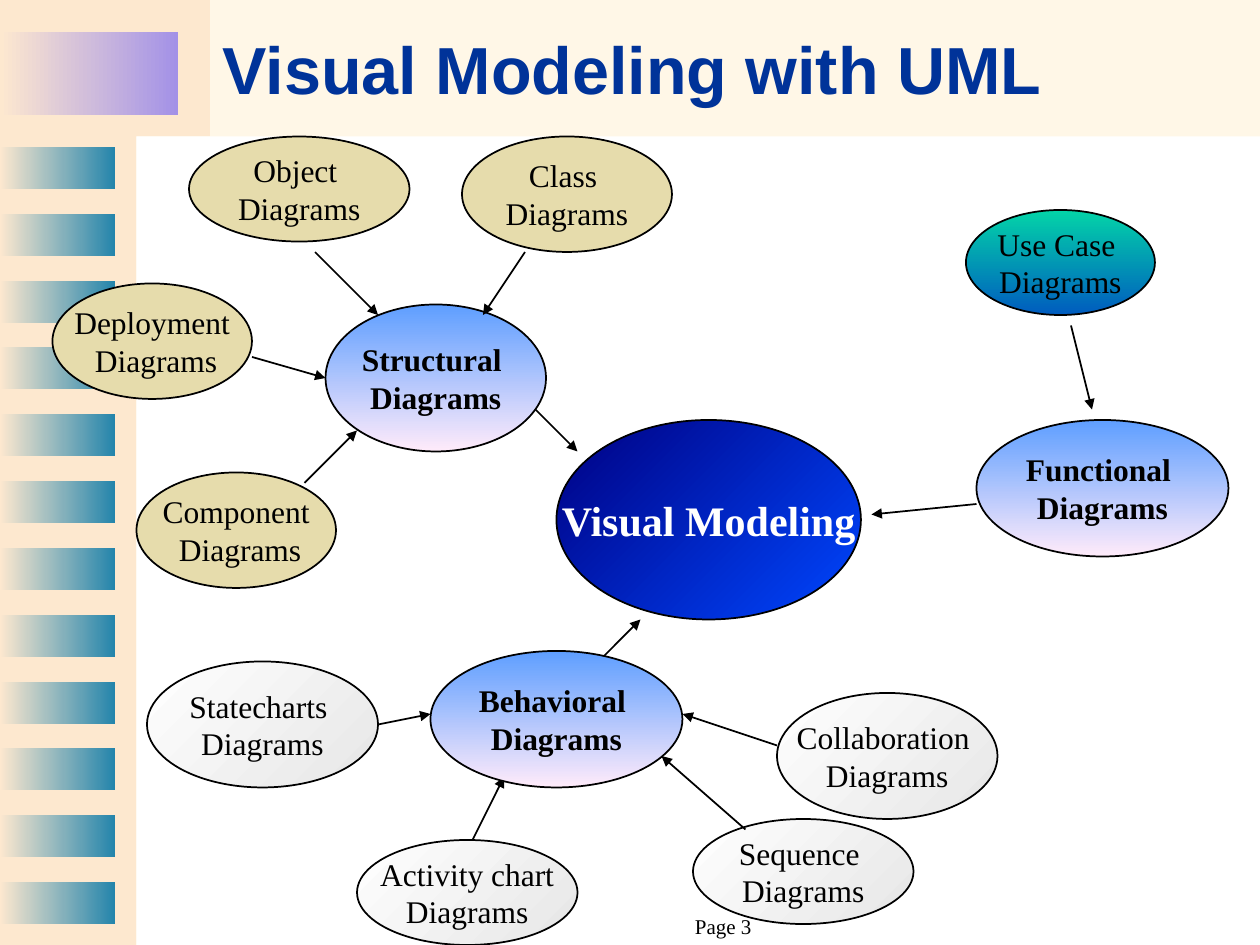
from lxml import etree
from pptx import Presentation
from pptx import util as u
from pptx.dml.color import RGBColor
from pptx.enum import shapes, text
from pptx.oxml.ns import qn

COLS, ROWS = 120, 90
BARS = 12
COLORS = {
    "cream": "FFF7E7", "peach": "FDE8CF", "lilac": "A391E7", "teal": "2384AB",
    "title": "003399", "white": "FFFFFF", "black": "000000", "sand": "E6DCAC",
    "royal": "0047FF", "navy": "000082", "mint": "03D4A8", "ocean": "005CBF",
    "sky": "5E9EFF", "blush": "FFEBFA", "silver": "E6E6E6",
}
FILLS = {
    "core": ("royal", "navy", 135),
    "category": ("sky", "blush", 270),
    "use_case": ("mint", "ocean", 270),
    "structural": ("sand",),
    "behavioral": ("silver", "white", 135),
    "banner": ("lilac", "peach", 180),
    "bar": ("teal", "peach", 180),
}
NODES = [
    ("core", (53, 40, 29, 19), ["Visual Modeling"]),
    ("use_case", (92, 20, 18, 10), ["Use Case ", "Diagrams"]),
    ("category", (93, 40, 24, 13), ["Functional ", "Diagrams"]),
    ("structural", (44, 13, 20, 11), ["Class ", "Diagrams"]),
    ("category", (31, 29, 21, 14), ["Structural ", "Diagrams"]),
    ("structural", (18, 13, 21, 10), ["Object ", "Diagrams"]),
    ("structural", (5, 27, 19, 11), ["Deployment", " Diagrams"]),
    ("structural", (13, 45, 19, 11), ["Component", " Diagrams"]),
    ("behavioral", (14, 63, 22, 12), ["Statecharts ", "Diagrams"]),
    ("behavioral", (34, 80, 21, 10), ["Activity chart", "Diagrams"]),
    ("behavioral", (74, 66, 21, 12), ["Collaboration ", "Diagrams"]),
    ("behavioral", (66, 78, 21, 10), ["Sequence ", "Diagrams"]),
]
BEHAVIORAL = ("category", (41, 62, 24, 13), ["Behavioral ", "Diagrams"])
ARROWS = [
    (93, 48, 83, 49), (102, 31, 104, 39), (51, 39, 55, 43), (30, 24, 36, 30),
    (24, 34, 31, 36), (50, 24, 46, 30), (29, 46, 34, 41), (57, 63, 61, 59),
    (36, 69, 41, 68), (71, 79, 63, 72), (45, 80, 48, 74), (74, 71, 65, 68),
]


def rgb(name):
    """Return the palette colour with this name."""
    return RGBColor.from_string(COLORS[name])


def grid(*cells):
    """Turn grid units, twelve to the inch, into lengths."""
    return [u.Inches(c / 12) for c in cells]


def paint(fill, first, second=None, angle=0):
    """Fill with one colour or a two-colour gradient."""
    if second is None:
        fill.solid()
        fill.fore_color.rgb = rgb(first)
        return
    fill.gradient()
    fill.gradient_angle = angle
    for stop, name in zip(fill.gradient_stops, (first, second)):
        stop.color.rgb = rgb(name)


def style(p, size, color, bold=False, face="Times New Roman"):
    """Set the font of a paragraph."""
    f = p.font
    f.name, f.size, f.bold = face, u.Pt(size), bold
    f.color.rgb = rgb(color)


def add_block(s, cells, *colors, kind=shapes.MSO_SHAPE.RECTANGLE):
    """Add a filled shape without outline or shadow."""
    sp = s.shapes.add_shape(kind, *grid(*cells))
    sp.shadow.inherit = False
    paint(sp.fill, *colors)
    sp.line.fill.background()
    return sp


def add_node(s, role, cells, lines):
    """Add an outlined ellipse with centred lines of text."""
    sp = add_block(s, cells, *FILLS[role], kind=shapes.MSO_SHAPE.OVAL)
    sp.line.color.rgb = rgb("black")
    sp.line.width = u.Pt(1)
    tf = sp.text_frame
    tf.word_wrap = False
    tf.vertical_anchor = text.MSO_ANCHOR.MIDDLE
    tf.text = "\n".join(lines)
    size, color = (24, "white") if role == "core" else (18, "black")
    for p in tf.paragraphs:
        p.alignment = text.PP_ALIGN.CENTER
        style(p, size, color, role in ("core", "category"))


def add_arrow(s, ends):
    """Add a thin black line with a triangle at its end."""
    c = s.shapes.add_connector(shapes.MSO_CONNECTOR.STRAIGHT, *grid(*ends))
    c.line.color.rgb = rgb("black")
    c.line.width = u.Pt(1)
    etree.SubElement(c.line._get_or_add_ln(), qn("a:tailEnd"),
                     type="triangle", w="med", len="med")
    etree.SubElement(c._element.spPr, qn("a:effectLst"))


def add_backdrop(s):
    """Add the side band, the banner, the bars and the white panel."""
    paint(s.background.fill, "cream")
    add_block(s, (0, 0, 20, 13), "peach")
    add_block(s, (0, 0, 13, ROWS), "peach")
    add_block(s, (0, 3, 17, 8), *FILLS["banner"])
    pitch = (84 - 14) / (BARS - 1)
    for i in range(BARS):
        add_block(s, (0, 14 + i * pitch, 11, 4), *FILLS["bar"])
    add_block(s, (13, 13, COLS - 13, ROWS - 13), "white")


def add_title(s, words):
    """Place and format the title placeholder."""
    sp = s.shapes.title
    sp.left, sp.top, sp.width, sp.height = grid(20, 0, COLS - 20, 13)
    tf = sp.text_frame
    tf.text = words
    tf.auto_size = text.MSO_AUTO_SIZE.NONE
    tf.vertical_anchor = text.MSO_ANCHOR.MIDDLE
    p = tf.paragraphs[0]
    p.alignment = text.PP_ALIGN.LEFT
    style(p, 38, "title", True, "Arial")


def add_page_label(s, words):
    """Add the page label at the foot of the slide."""
    tf = s.shapes.add_textbox(*grid(65, 86.4, 15, 3.6)).text_frame
    tf.word_wrap = True
    tf.text = words
    style(tf.paragraphs[0], 12, "black")


def main():
    """Build and save the slide."""
    prs = Presentation()
    prs.slide_width, prs.slide_height = grid(COLS, ROWS)
    s = prs.slides.add_slide(prs.slide_layouts[5])
    add_backdrop(s)
    add_page_label(s, "Page 3")
    add_title(s, "Visual Modeling with UML")
    for node in NODES:
        add_node(s, *node)
    for ends in ARROWS:
        add_arrow(s, ends)
    add_node(s, *BEHAVIORAL)
    prs.save("out.pptx")


if __name__ == "__main__":
    main()
